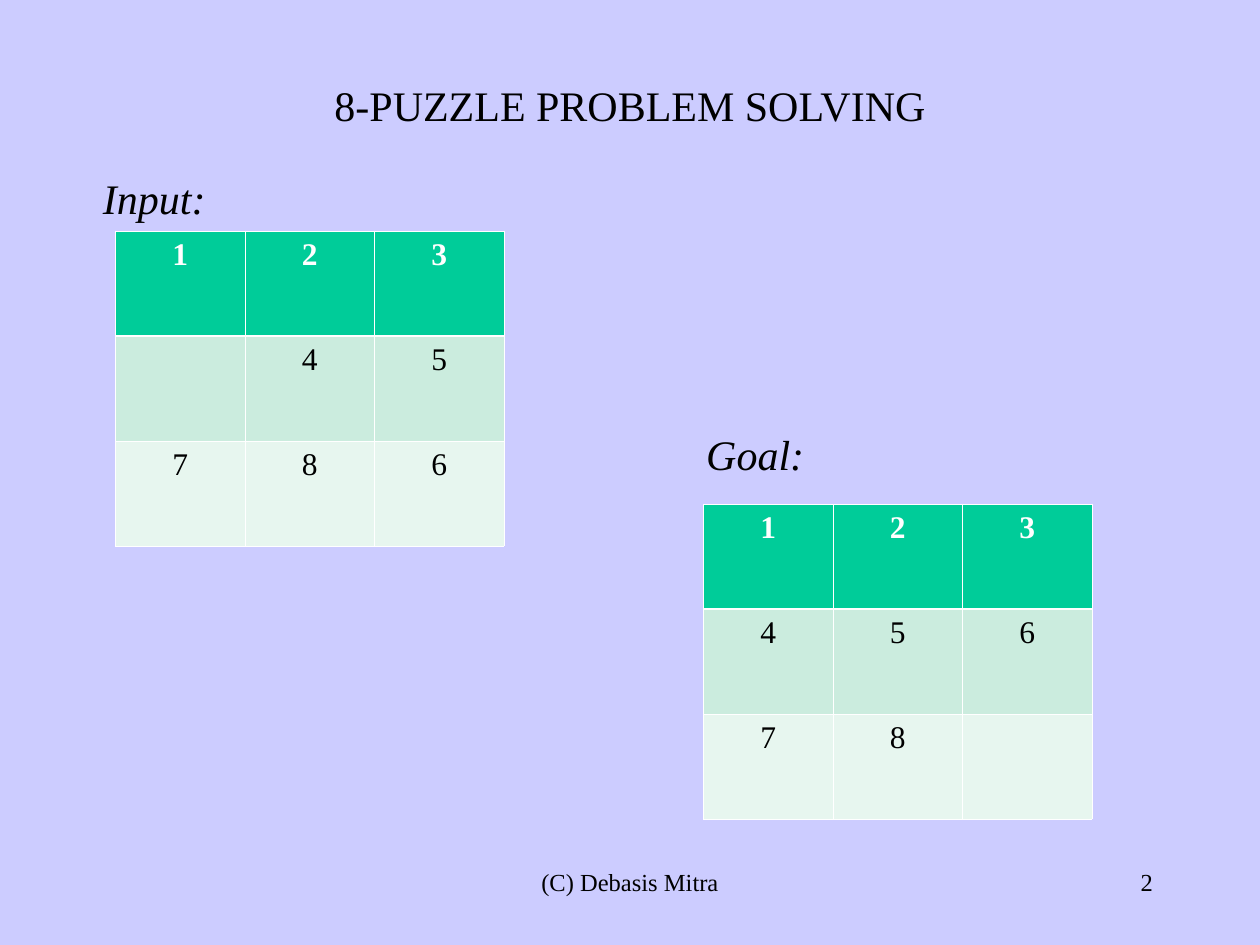
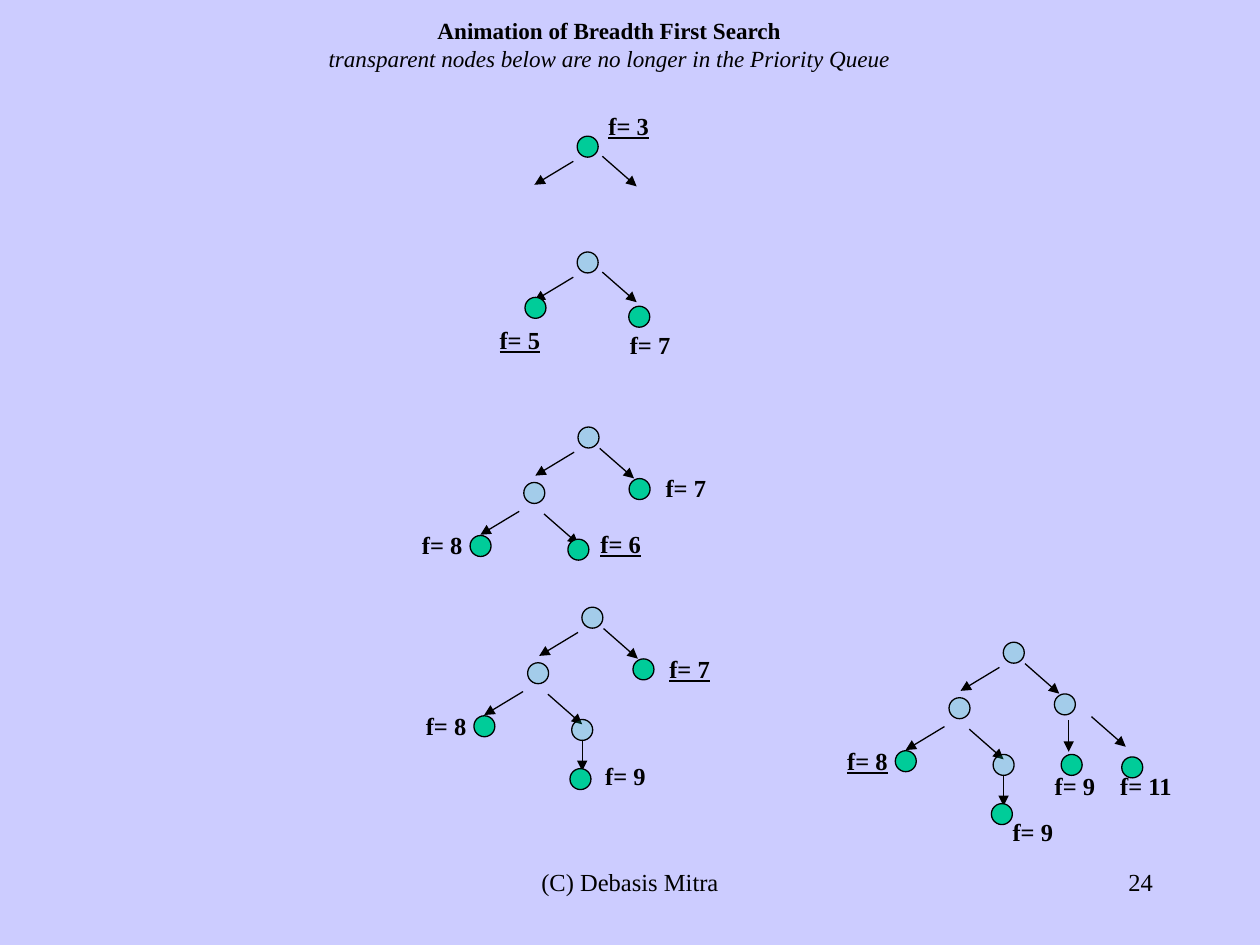
from pptx import Presentation
from pptx.dml.color import RGBColor
from pptx.enum.shapes import MSO_CONNECTOR, MSO_SHAPE
from pptx.enum.text import MSO_ANCHOR, MSO_AUTO_SIZE, PP_ALIGN
from pptx.oxml.ns import qn
from pptx.util import Pt
from lxml.etree import SubElement

FONT = "Times New Roman"
LAVENDER = RGBColor(0xCC, 0xCC, 0xFF)
BLACK = RGBColor(0, 0, 0)
WHITE = RGBColor(0xFF, 0xFF, 0xFF)
GREEN = RGBColor(0x00, 0xCC, 0x99)
ROW_FILLS = [GREEN, RGBColor(0xCB, 0xEC, 0xDE), RGBColor(0xE7, 0xF6, 0xEF)]

NODE_SIZE = 12
CELL_W, CELL_H = 74, 60
THIN, THICK = 0.45, 1.47

# Arrow vectors
TO_LEFT, TO_RIGHT, DOWN = (-22.2, 13.4), (19.6, 17.2), (0, 18)

# Child: (node offset, arrow start, arrow vector), both offsets from the root
SMALL_TREE = {
    "L": ((-29.8, 25.9), (-2.2, 14.4), TO_LEFT),
    "R": ((29.5, 31), (14.4, 11.5), TO_RIGHT),
}
LARGE_TREE = {
    "L": ((-31, 31.7), (-2.2, 14.4), TO_LEFT),
    "R": ((29.2, 29.5), (12.4, 12.2), TO_RIGHT),
    "LL": ((-61.7, 62), (-33.6, 48.2), TO_LEFT),
    "LR": ((-5.8, 64.1), (-19.4, 49.7), TO_RIGHT),
    "LRD": ((-6.8, 92.2), (0.2, 75.6), DOWN),
    "RL": ((33.1, 64.1), (37.4, 44.6), DOWN),
    "RR": ((67.7, 65.5), (50.4, 42.5), TO_RIGHT),
}

# Label offsets from the node
BESIDE_LEFT, BESIDE_RIGHT = (-34.6, -6.5), (13.7, -6.5)

# Each step: layout, root position, arrows, expanded nodes,
# queued nodes as name: (f value, label offset), name of the best node
STEPS = [
    (SMALL_TREE, (329.8, 77.8), ["L", "R"], [],
     {"root": (3, (10.8, -18))}, "root"),
    (SMALL_TREE, (329.8, 144), ["L", "R"], ["root"],
     {"L": (5, (-21.6, 12.2)), "R": (7, (-6.5, 10))}, "L"),
    (LARGE_TREE, (330.3, 244), ["L", "R", "LL", "LR"], ["root", "L"],
     {"LL": (8, BESIDE_LEFT), "LR": (6, (11.5, -9.4)),
      "R": (7, BESIDE_RIGHT)}, "LR"),
    (LARGE_TREE, (332.5, 347), ["L", "R", "LL", "LR", "LRD"],
     ["root", "L", "LR"],
     {"LL": (8, BESIDE_LEFT), "R": (7, BESIDE_RIGHT),
      "LRD": (9, (13, -8))}, "R"),
    (LARGE_TREE, (573.3, 367), list(LARGE_TREE), ["root", "L", "LR", "R"],
     {"LL": (8, BESIDE_LEFT), "LRD": (9, (5, 4.3)),
      "RL": (9, (-10.8, 5.8)), "RR": (11, (-8, 4.3))}, "LL"),
]


def format_text(p, size, color=BLACK, align=PP_ALIGN.LEFT,
                bold=False, italic=False, underline=False):
    p.alignment = align
    for r in p.runs:
        font = r.font
        font.name, font.size = FONT, Pt(size)
        font.bold, font.italic, font.underline = bold, italic, underline
        font.color.rgb = color


def add_text(s, text, x, y, w, h, size, wrap=True, **style):
    tf = s.shapes.add_textbox(Pt(x), Pt(y), Pt(w), Pt(h)).text_frame
    tf.word_wrap = wrap
    tf.auto_size = MSO_AUTO_SIZE.NONE if wrap else MSO_AUTO_SIZE.SHAPE_TO_FIT_TEXT
    tf.text = text
    format_text(tf.paragraphs[0], size, **style)


def add_titled_slide(prs, title, x, y, h, anchor, number):
    """Add a slide with its title placed, the copyright line and the number."""
    s = prs.slides.add_slide(prs.slide_layouts[5])
    sp = s.shapes.title
    sp.left, sp.top, sp.width, sp.height = Pt(x), Pt(y), Pt(612), Pt(h)
    tf = sp.text_frame
    tf.text = title
    tf.auto_size = MSO_AUTO_SIZE.NONE
    tf.vertical_anchor = anchor
    add_text(s, "(C) Debasis Mitra", 246, 492, 228, 36, 14,
             align=PP_ALIGN.CENTER)
    add_text(s, str(number), 516, 492, 150, 36, 14, align=PP_ALIGN.RIGHT)
    return s, tf.paragraphs


def set_borders(cell, top, bottom):
    tc_pr = cell._tc.get_or_add_tcPr()
    for tag, width in (("lnL", THIN), ("lnR", THIN), ("lnT", top), ("lnB", bottom)):
        ln = SubElement(tc_pr, qn("a:" + tag), w=str(Pt(width)))
        fill = SubElement(ln, qn("a:solidFill"))
        SubElement(fill, qn("a:srgbClr"), val=str(WHITE))


def add_board(s, rows, x, y):
    n = len(rows)
    table = s.shapes.add_table(n, n, Pt(x), Pt(y),
                               Pt(n * CELL_W), Pt(n * CELL_H)).table
    for i, row in enumerate(rows):
        table.rows[i].height = Pt(CELL_H)
        table.columns[i].width = Pt(CELL_W)
        for j, tile in enumerate(row):
            cell = table.cell(i, j)
            set_borders(cell, THICK if i == 1 else THIN, THICK if i == 0 else THIN)
            cell.fill.solid()
            cell.fill.fore_color.rgb = ROW_FILLS[i]
            cell.text = tile.strip()
            format_text(cell.text_frame.paragraphs[0], 18,
                        WHITE if i == 0 else BLACK, PP_ALIGN.CENTER, bold=i == 0)


def add_arrow(s, x, y, vector):
    dx, dy = vector
    line = s.shapes.add_connector(MSO_CONNECTOR.STRAIGHT, Pt(x), Pt(y),
                                  Pt(x + dx), Pt(y + dy))
    line.line.color.rgb = BLACK
    line.line.width = Pt(0.75)
    SubElement(line.line._get_or_add_ln(), qn("a:tailEnd"), type="triangle")
    SubElement(line._element.spPr, qn("a:effectLst"))


def add_node(s, x, y, expanded):
    sp = s.shapes.add_shape(MSO_SHAPE.OVAL, Pt(x), Pt(y),
                            Pt(NODE_SIZE), Pt(NODE_SIZE))
    sp.shadow.inherit = False
    sp.fill.solid()
    sp.fill.fore_color.rgb = GREEN
    sp.line.color.rgb = BLACK
    sp.line.width = Pt(0.75)
    if expanded:
        color = sp._element.spPr.find(qn("a:solidFill")).find(qn("a:srgbClr"))
        SubElement(color, qn("a:alpha"), val="20000")


def add_search_tree(s, layout, root, arrows, expanded, queued, best):
    x, y = root
    for name in arrows:
        _, (dx, dy), vector = layout[name]
        add_arrow(s, x + dx, y + dy, vector)
    for name in [*expanded, *queued]:
        dx, dy = (0, 0) if name == "root" else layout[name][0]
        add_node(s, x + dx, y + dy, name in expanded)
        if name in queued:
            f, (label_x, label_y) = queued[name]
            add_text(s, f"f= {f}", x + dx + label_x, y + dy + label_y,
                     37.4 if f < 10 else 44.6, 24.5, 14, wrap=False,
                     bold=True, underline=name == best)


def add_puzzle_slide(prs):
    s, title = add_titled_slide(prs, "8-PUZZLE PROBLEM SOLVING",
                                54, 24, 72, MSO_ANCHOR.MIDDLE, 2)
    format_text(title[0], 24, align=PP_ALIGN.CENTER)
    add_text(s, "Input:", 51.8, 95, 80, 36, 24, italic=True)
    add_board(s, ["123", " 45", "786"], 66, 132)
    add_text(s, "Goal:", 396.5, 241.2, 80, 36, 24, italic=True)
    add_board(s, ["123", "456", "78 "], 402, 288)


def add_search_slide(prs):
    s, title = add_titled_slide(
        prs, "Animation of Breadth First Search\n"
        "transparent nodes below are no longer in the Priority Queue",
        42, 6, 59, MSO_ANCHOR.TOP, 24)
    format_text(title[0], 13.2, align=PP_ALIGN.CENTER, bold=True)
    format_text(title[1], 13.2, align=PP_ALIGN.CENTER, italic=True)
    for step in STEPS:
        add_search_tree(s, *step)


def main():
    prs = Presentation()
    prs.slide_width, prs.slide_height = Pt(720), Pt(540)
    background = prs.slide_master.background.fill
    background.solid()
    background.fore_color.rgb = LAVENDER
    add_puzzle_slide(prs)
    add_search_slide(prs)
    prs.save("out.pptx")


if __name__ == "__main__":
    main()
